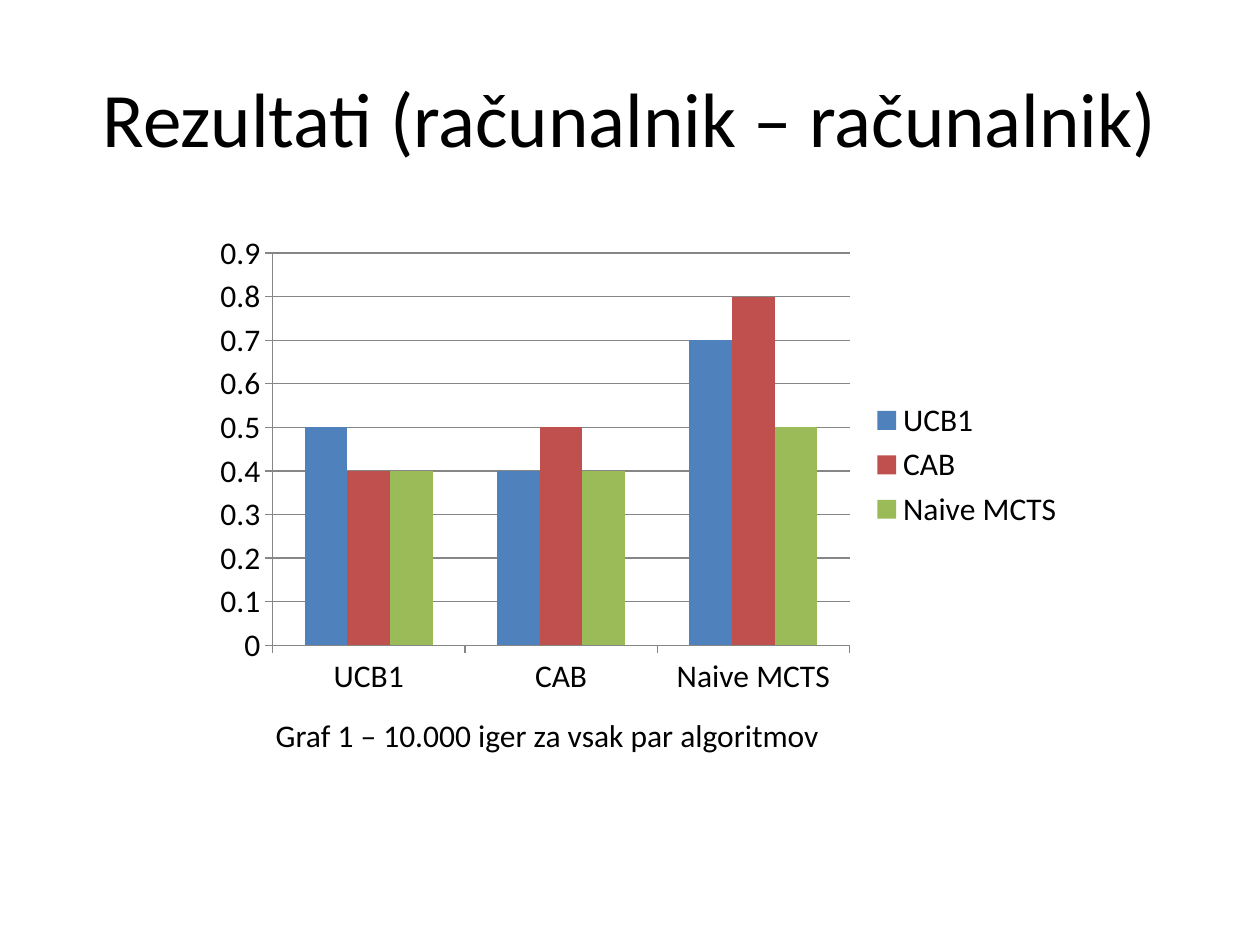
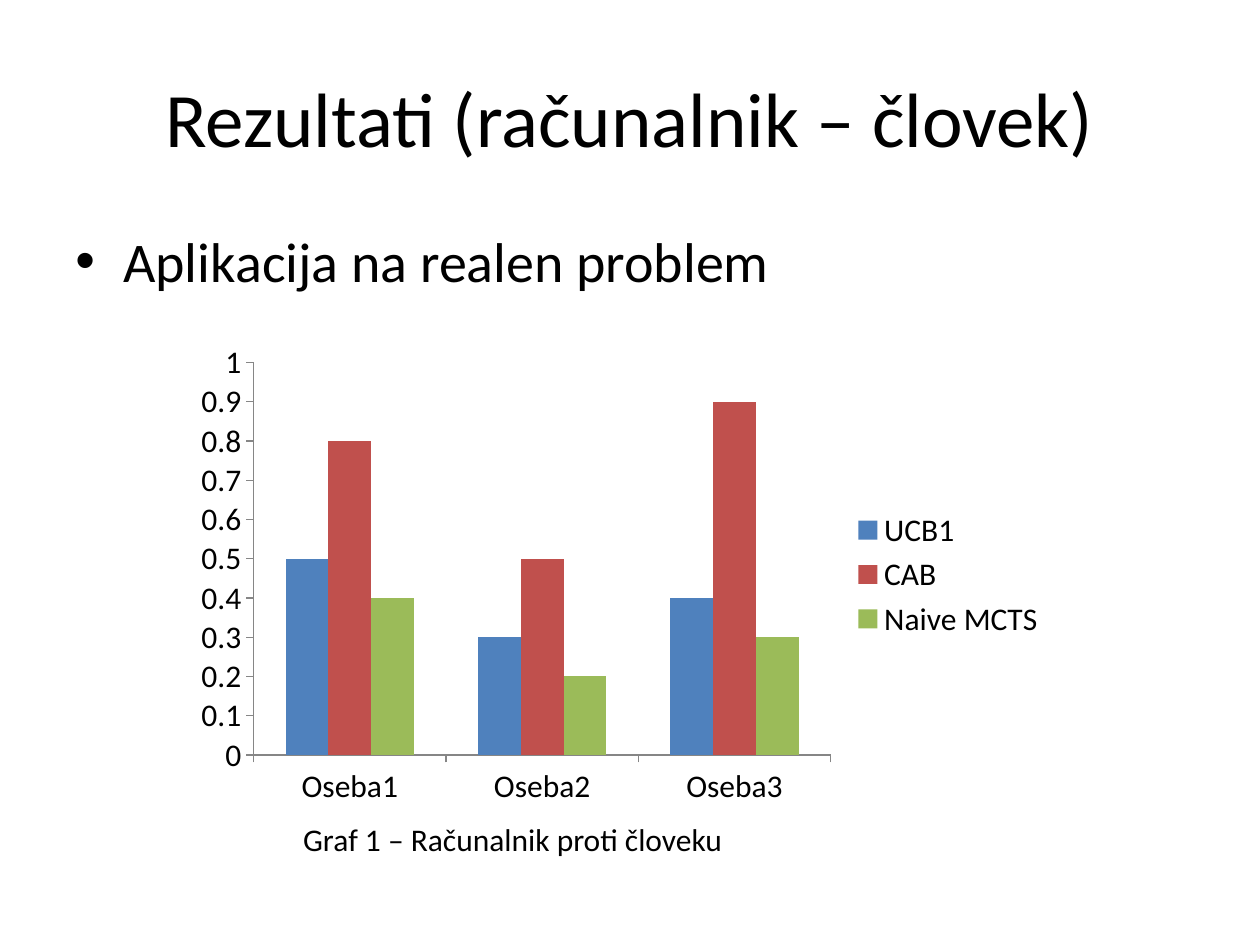
from pptx import Presentation
from pptx.chart.data import CategoryChartData
from pptx.dml.color import RGBColor
from pptx.enum.chart import XL_CHART_TYPE, XL_LEGEND_POSITION, XL_TICK_MARK
from pptx.enum.text import MSO_ANCHOR, MSO_AUTO_SIZE, PP_ALIGN
from pptx.oxml import parse_xml
from pptx.oxml.ns import nsdecls
from pptx.util import Emu, Pt

# Shared style: 100 px to the inch
PX = 9144
FONT = "Calibri"
TEXT = "000000"
AXIS = "868686"
TITLE_BOX = (50, 30, 900, 125)
CHART_SIZE = (694, 382)
CAPTION_SIZE = (476, 40)
ALGORITHMS = {"UCB1": "4F81BD", "CAB": "C0504D", "Naive MCTS": "9BBB59"}


def px(n):
    return Emu(n * PX)


def rgb(hex_color):
    return RGBColor.from_string(hex_color)


def style_font(font, size):
    font.name = FONT
    font.size = Pt(size)
    font.color.rgb = rgb(TEXT)


def add_run(p, text, size):
    r = p.add_run()
    r.text = text
    style_font(r.font, size)


def add_title_slide(prs, title):
    slide = prs.slides.add_slide(prs.slide_layouts[5])
    sp = slide.shapes.title
    sp.left, sp.top, sp.width, sp.height = map(px, TITLE_BOX)
    tf = sp.text_frame
    tf.vertical_anchor = MSO_ANCHOR.MIDDLE
    p = tf.paragraphs[0]
    p.alignment = PP_ALIGN.CENTER
    add_run(p, title, 44)
    return slide


def add_text(slide, box, text, size, align=PP_ALIGN.LEFT):
    sp = slide.shapes.add_textbox(*map(px, box))
    tf = sp.text_frame
    tf.word_wrap = True
    p = tf.paragraphs[0]
    p.alignment = align
    add_run(p, text, size)
    return tf


def add_caption(slide, left, top, text, align=PP_ALIGN.LEFT):
    tf = add_text(slide, (left, top, *CAPTION_SIZE), text, 18, align)
    tf.auto_size = MSO_AUTO_SIZE.SHAPE_TO_FIT_TEXT


def add_bullet(slide, box, text):
    tf = add_text(slide, box, text, 32)
    pPr = tf.paragraphs[0]._p.get_or_add_pPr()
    pPr.set("marL", str(px(38)))
    pPr.set("indent", str(px(-38)))
    for tag in (
        '<a:spcBef {}><a:spcPct val="20000"/></a:spcBef>',
        '<a:buFont {} typeface="Arial"/>',
        '<a:buChar {} char="•"/>',
    ):
        pPr.append(parse_xml(tag.format(nsdecls("a"))))


def style_line(line):
    line.color.rgb = rgb(AXIS)
    line.width = Pt(0.75)


def add_column_chart(slide, left, top, categories, rows, gridlines):
    data = CategoryChartData()
    data.categories = categories
    for name, values in zip(ALGORITHMS, rows):
        data.add_series(name, values)
    frame = slide.shapes.add_chart(
        XL_CHART_TYPE.COLUMN_CLUSTERED, *map(px, (left, top, *CHART_SIZE)), data)
    chart = frame.chart
    chart.has_title = False
    style_font(chart.font, 18)

    # Columns
    plot = chart.plots[0]
    plot.gap_width = 150
    plot.vary_by_categories = False
    for series, color in zip(plot.series, ALGORITHMS.values()):
        series.invert_if_negative = False
        series.format.fill.solid()
        series.format.fill.fore_color.rgb = rgb(color)

    # Axes
    for axis in (chart.category_axis, chart.value_axis):
        axis.major_tick_mark = XL_TICK_MARK.OUTSIDE
        axis.minor_tick_mark = XL_TICK_MARK.NONE
        style_line(axis.format.line)
    chart.value_axis.has_major_gridlines = gridlines
    if gridlines:
        style_line(chart.value_axis.major_gridlines.format.line)

    # Legend
    chart.has_legend = True
    chart.legend.position = XL_LEGEND_POSITION.RIGHT
    chart.legend.include_in_layout = False


def main():
    prs = Presentation()
    prs.slide_width, prs.slide_height = px(1000), px(750)

    # Computer against computer
    slide = add_title_slide(prs, "Rezultati (računalnik – računalnik)")
    add_column_chart(slide, 161, 178, list(ALGORITHMS),
                     [(0.5, 0.4, 0.7), (0.4, 0.5, 0.8), (0.4, 0.4, 0.5)],
                     gridlines=True)
    add_caption(slide, 209, 563, "Graf 1 – 10.000 iger za vsak par algoritmov")

    # Computer against human
    slide = add_title_slide(prs, "Rezultati (računalnik – človek)")
    add_column_chart(slide, 146, 265, ["Oseba1", "Oseba2", "Oseba3"],
                     [(0.5, 0.3, 0.4), (0.8, 0.5, 0.9), (0.4, 0.2, 0.3)],
                     gridlines=False)
    add_bullet(slide, (50, 175, 900, 121), "Aplikacija na realen problem")
    add_caption(slide, 169, 646, "Graf 1 – Računalnik proti človeku",
                PP_ALIGN.CENTER)

    prs.save("out.pptx")


if __name__ == "__main__":
    main()
